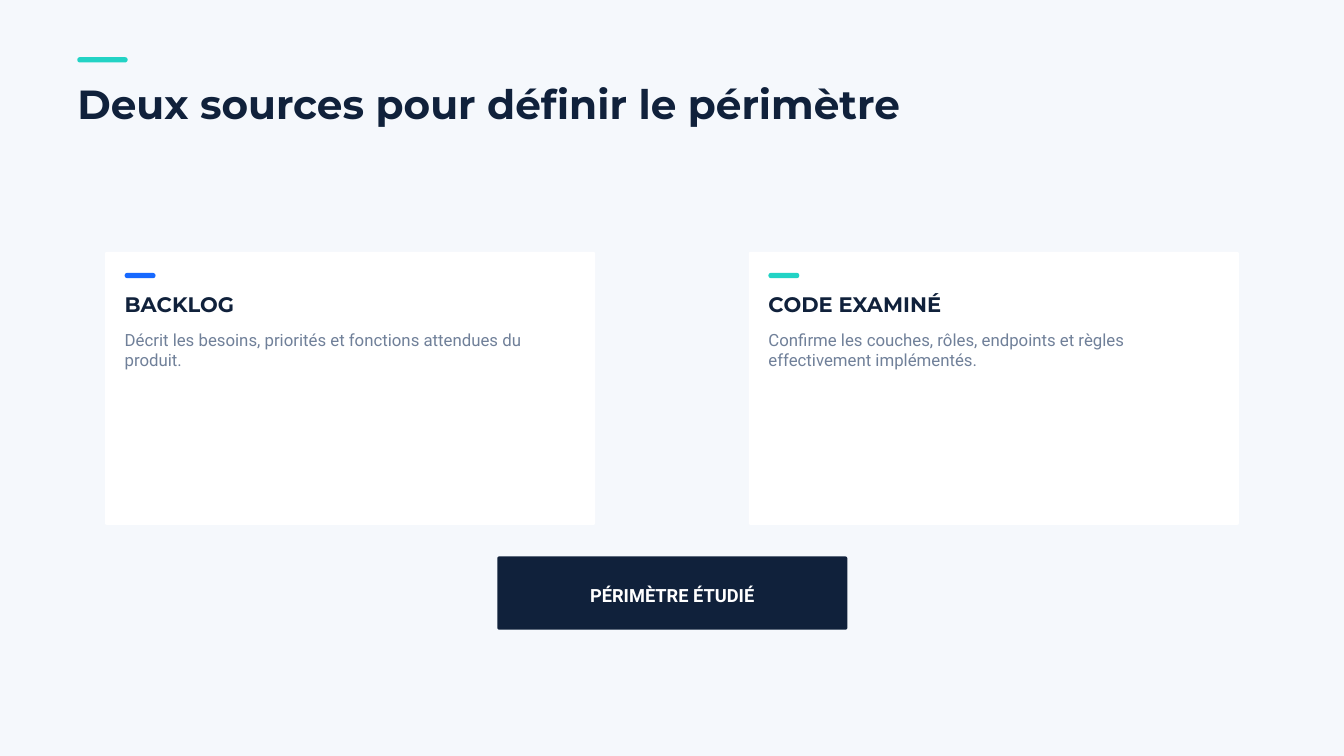
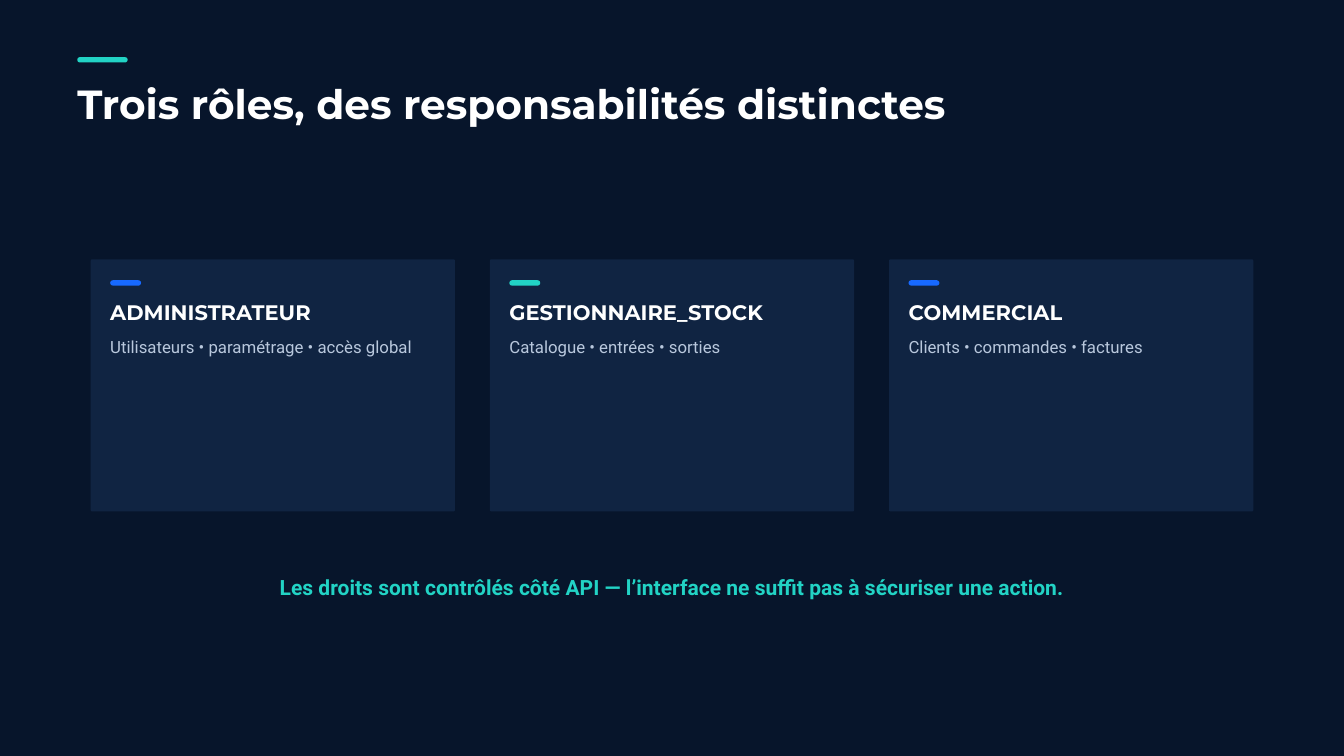
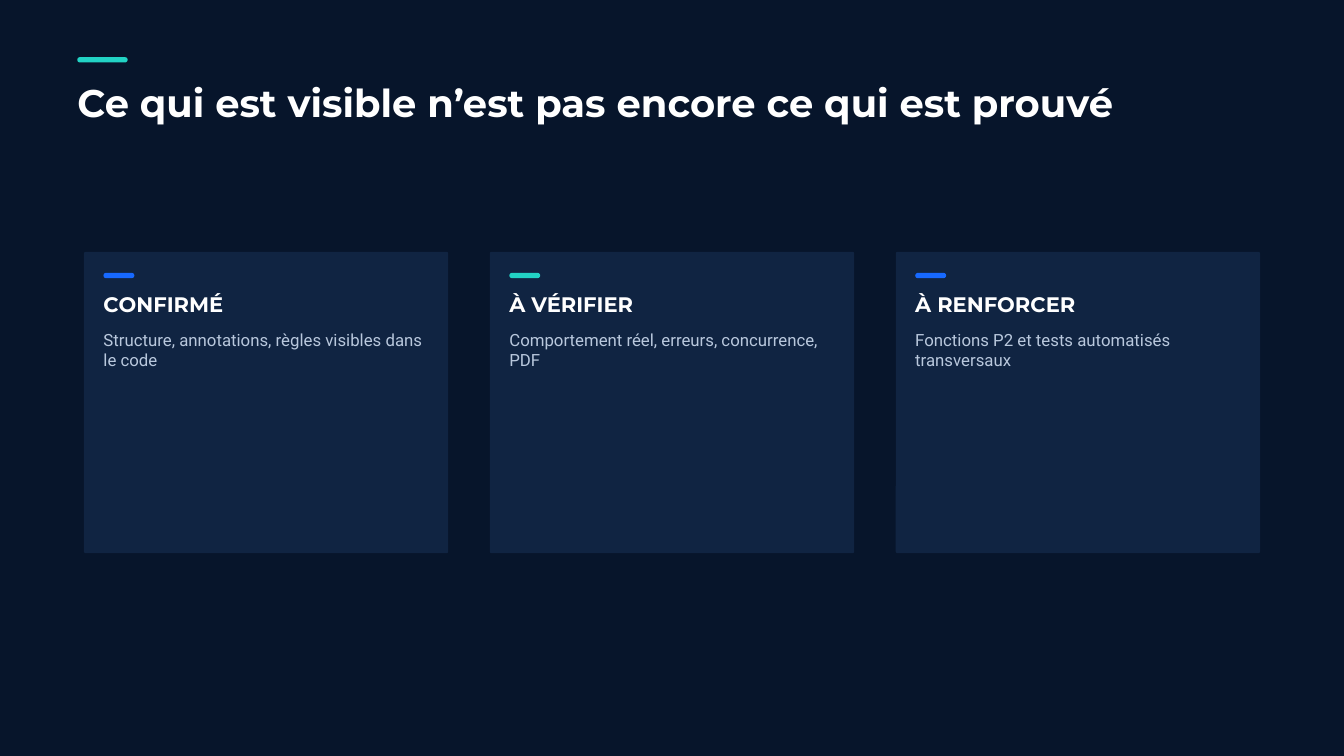
from dataclasses import dataclass

import pptx
import pptx.dml.color
import pptx.enum.shapes
import pptx.enum.text
import pptx.shapes.autoshape
import pptx.shapes.shapetree
import pptx.slide
import pptx.text.text
import pptx.util
from pptx.util import Inches

COLORS = {
    "paper": "F5F8FC", "night": "07152B", "navy": "10213B", "panel": "102442",
    "white": "FFFFFF", "slate": "708099", "mist": "B9C8DD",
    "blue": "1769FF", "teal": "22D3C5",
}
HEADING, BODY = "Montserrat", "Roboto"
SLIDE_W, SLIDE_H = Inches(20), Inches(11.25)
BAR_H = Inches(0.08)
INSET = Inches(0.29)
CARD_ACCENTS = ("blue", "teal")

ALIGN = pptx.enum.text.PP_ALIGN
ANCHOR = pptx.enum.text.MSO_ANCHOR
Shapes = pptx.shapes.shapetree.SlideShapes | pptx.shapes.shapetree.GroupShapes


@dataclass(frozen=True)
class Theme:
    background: str
    card: str
    heading: str
    body: str


@dataclass(frozen=True)
class Style:
    font: str
    size: float
    spacing: float
    bold: bool = False
    align: ALIGN = ALIGN.LEFT


@dataclass(frozen=True)
class Card:
    title: str
    body: str


@dataclass(frozen=True)
class CardRow:
    top: int
    width: int
    height: int
    gap: int
    cards: tuple[Card, ...]


LIGHT = Theme("paper", "white", "navy", "slate")
DARK = Theme("night", "panel", "white", "mist")

TITLE = Style(HEADING, 43.5, 51.3, bold=True)
LONG_TITLE = Style(HEADING, 41.25, 48.7, bold=True)
CARD_TITLE = Style(HEADING, 22.5, 26.5, bold=True)
CARD_BODY = Style(BODY, 18, 21.2)
BUTTON = Style(BODY, 19.5, 27.3, bold=True, align=ALIGN.CENTER)
NOTE = Style(BODY, 22.5, 26.5, bold=True, align=ALIGN.CENTER)


def rgb(name: str) -> pptx.dml.color.RGBColor:
    return pptx.dml.color.RGBColor.from_string(COLORS[name])


def write(tf: pptx.text.text.TextFrame, text: str, style: Style, color: str,
          anchor: ANCHOR = ANCHOR.TOP) -> None:
    tf.margin_left = tf.margin_top = tf.margin_right = tf.margin_bottom = 0
    tf.auto_size = pptx.enum.text.MSO_AUTO_SIZE.NONE
    tf.word_wrap = True
    tf.vertical_anchor = anchor
    p = tf.paragraphs[0]
    p.text = text
    p.alignment = style.align
    p.line_spacing = pptx.util.Pt(style.spacing)
    p.font.name = style.font
    p.font.size = pptx.util.Pt(style.size)
    p.font.bold = style.bold
    p.font.color.rgb = rgb(color)


def add_text(shapes: Shapes, left: int, top: int, width: int, height: int,
             text: str, style: Style, color: str) -> None:
    box = shapes.add_textbox(left, top, width, height)
    write(box.text_frame, text, style, color)


def add_panel(shapes: Shapes, left: int, top: int, width: int, height: int,
              color: str, radius: int) -> pptx.shapes.autoshape.Shape:
    sp = shapes.add_shape(pptx.enum.shapes.MSO_SHAPE.ROUNDED_RECTANGLE,
                          left, top, width, height)
    sp.adjustments[0] = radius / min(width, height)
    sp.shadow.inherit = False
    sp.fill.solid()
    sp.fill.fore_color.rgb = rgb(color)
    sp.line.fill.background()
    return sp


def add_bar(shapes: Shapes, left: int, top: int, width: int, color: str) -> None:
    add_panel(shapes, left, top, width, BAR_H, color, BAR_H // 2)


def add_card(s: pptx.slide.Slide, left: int, row: CardRow, card: Card,
             accent: str, theme: Theme) -> None:
    shapes = s.shapes.add_group_shape().shapes
    x, text_w = left + INSET, row.width - 2 * INSET
    add_panel(shapes, left, row.top, row.width, row.height, theme.card, Inches(0.02))
    add_bar(shapes, x, row.top + Inches(0.31), Inches(0.46), accent)
    add_text(shapes, x, row.top + Inches(0.6), text_w, Inches(0.37),
             card.title, CARD_TITLE, theme.heading)
    add_text(shapes, x, row.top + Inches(1.16), text_w, Inches(0.59),
             card.body, CARD_BODY, theme.body)


def add_cards(s: pptx.slide.Slide, row: CardRow, theme: Theme) -> None:
    """Draw a row of equal cards, centred on the slide."""
    pitch = row.width + row.gap
    start = (SLIDE_W - len(row.cards) * pitch + row.gap) // 2
    for i, card in enumerate(row.cards):
        accent = CARD_ACCENTS[i % len(CARD_ACCENTS)]
        add_card(s, start + i * pitch, row, card, accent, theme)


def add_slide(prs: pptx.presentation.Presentation, title: str, theme: Theme,
              row: CardRow, style: Style = TITLE) -> pptx.slide.Slide:
    s = prs.slides.add_slide(prs.slide_layouts[5])
    s.background.fill.solid()
    s.background.fill.fore_color.rgb = rgb(theme.background)
    sp = s.shapes.title
    sp.left, sp.top = Inches(1.15), Inches(1.18)
    sp.width, sp.height = Inches(15.62), Inches(0.71)
    write(sp.text_frame, title, style, theme.heading)
    add_bar(s.shapes, Inches(1.15), Inches(0.85), Inches(0.75), "teal")
    add_cards(s, row, theme)
    return s


def main() -> None:
    prs = pptx.Presentation()
    prs.slide_width, prs.slide_height = SLIDE_W, SLIDE_H

    # Scope: two sources leading to one result
    sources = CardRow(Inches(3.75), Inches(7.29), Inches(4.06), Inches(2.29), (
        Card("BACKLOG",
             "Décrit les besoins, priorités et fonctions attendues du produit."),
        Card("CODE EXAMINÉ",
             "Confirme les couches, rôles, endpoints et règles effectivement implémentés."),
    ))
    s = add_slide(prs, "Deux sources pour définir le périmètre", LIGHT, sources)
    scope = add_panel(s.shapes, Inches(7.4), Inches(8.28), Inches(5.21),
                      Inches(1.09), "navy", Inches(0.03))
    write(scope.text_frame, "PÉRIMÈTRE ÉTUDIÉ", BUTTON, "white", ANCHOR.MIDDLE)

    # Roles
    roles = CardRow(Inches(3.86), Inches(5.42), Inches(3.75), Inches(0.52), (
        Card("ADMINISTRATEUR", "Utilisateurs • paramétrage • accès global"),
        Card("GESTIONNAIRE_STOCK", "Catalogue • entrées • sorties"),
        Card("COMMERCIAL", "Clients • commandes • factures"),
    ))
    s = add_slide(prs, "Trois rôles, des responsabilités distinctes", DARK, roles)
    add_text(s.shapes, Inches(3.23), Inches(8.55), Inches(13.54), Inches(0.36),
             "Les droits sont contrôlés côté API — l’interface ne suffit pas à "
             "sécuriser une action.", NOTE, "teal")

    # Levels of evidence
    evidence = CardRow(Inches(3.75), Inches(5.42), Inches(4.48), Inches(0.62), (
        Card("CONFIRMÉ", "Structure, annotations, règles visibles dans le code"),
        Card("À VÉRIFIER", "Comportement réel, erreurs, concurrence, PDF"),
        Card("À RENFORCER", "Fonctions P2 et tests automatisés transversaux"),
    ))
    add_slide(prs, "Ce qui est visible n’est pas encore ce qui est prouvé",
              DARK, evidence, LONG_TITLE)

    prs.save("out.pptx")


if __name__ == "__main__":
    main()
